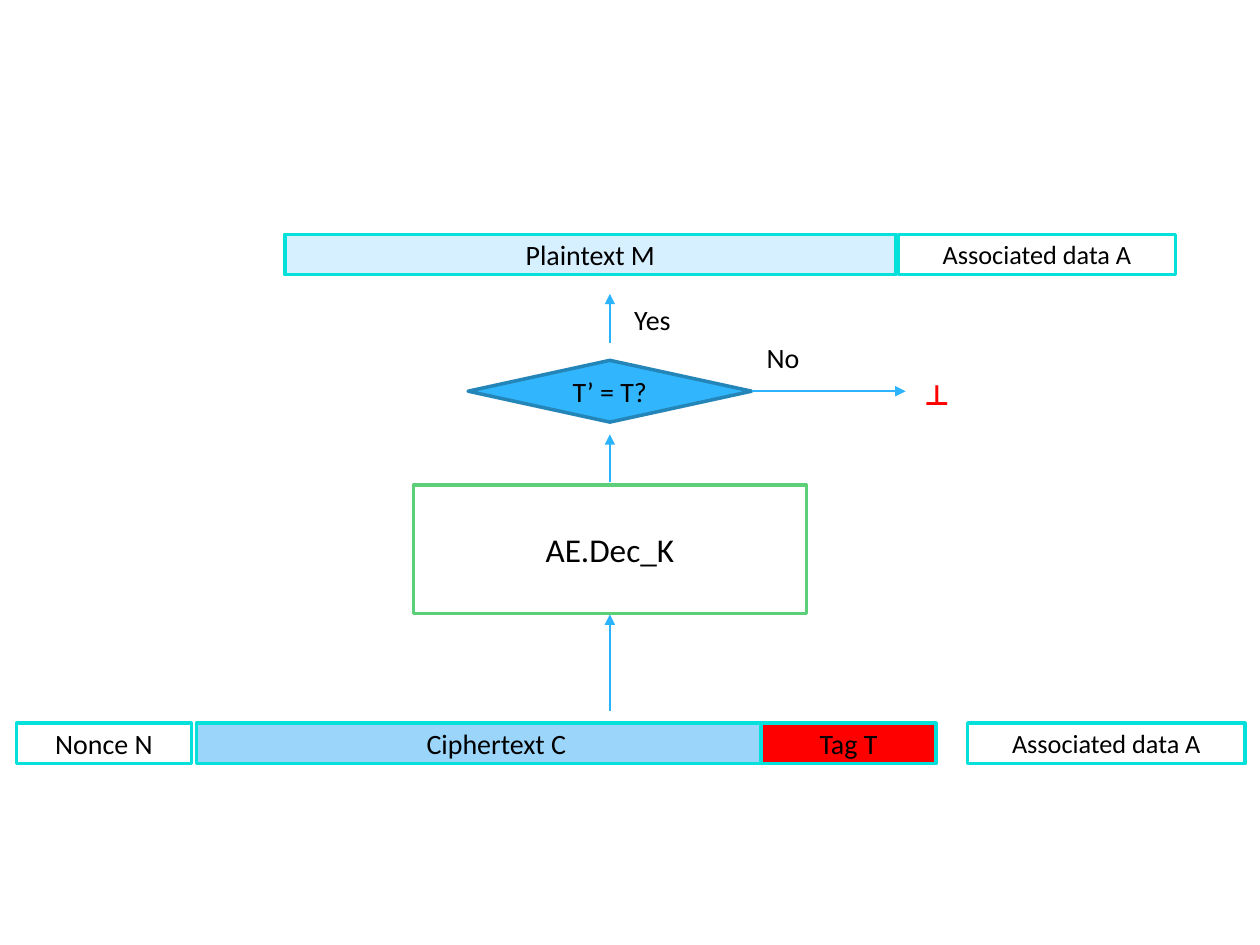
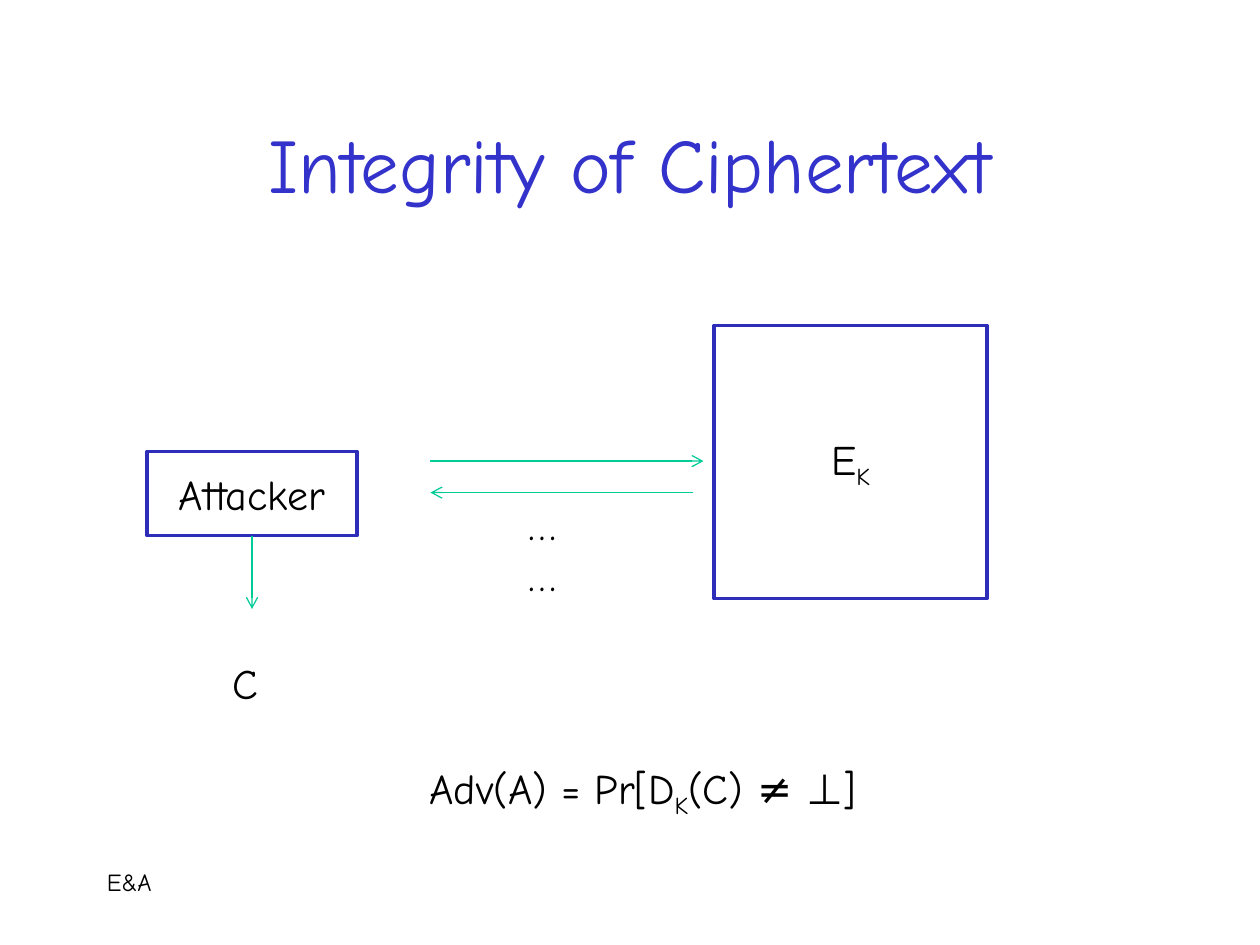
import dataclasses

import pptx
import pptx.dml.color
import pptx.enum.shapes
import pptx.enum.text
import pptx.oxml.ns
import pptx.util
from lxml import etree

Pt = pptx.util.Pt
SHAPE = pptx.enum.shapes.MSO_SHAPE
ALIGN = pptx.enum.text.PP_ALIGN
ANCHOR = pptx.enum.text.MSO_ANCHOR


@dataclasses.dataclass(frozen=True)
class Theme:
    diagram_font: str = "Calibri"
    game_font: str = "Comic Neue"
    text: str = "000000"
    white: str = "FFFFFF"
    title: str = "3333CC"
    alert: str = "FF0000"
    field_line: str = "05E0DB"
    plaintext: str = "D6F0FF"
    ciphertext: str = "9BD5FA"
    cipher_line: str = "5BD078"
    decision: str = "31B6FD"
    decision_line: str = "2485B9"
    flow: str = "2BB3FC"
    party_line: str = "2D2DB9"
    message: str = "00CC98"
    title_size: int = 44
    game_size: int = 24
    cipher_size: int = 19
    label_size: int = 16
    data_size: int = 15
    footer_size: int = 14
    outline: float = 2


T = Theme()


def rgb(value):
    return pptx.dml.color.RGBColor.from_string(value)


def write(sp, text, font, size, color=T.text, align=ALIGN.CENTER,
          anchor=ANCHOR.MIDDLE, wrap=True, bold=False, inset=(7.2, 3.6)):
    """Fill a shape with one paragraph; text is a list whose odd items are subscripts."""
    tf = sp.text_frame
    tf.word_wrap = wrap
    tf.vertical_anchor = anchor
    tf.margin_left = tf.margin_right = Pt(inset[0])
    tf.margin_top = tf.margin_bottom = Pt(inset[1])
    p = tf.paragraphs[0]
    p.alignment = align
    for i, part in enumerate(text):
        r = p.add_run()
        r.text = part
        r.font.name = font
        r.font.size = Pt(size)
        r.font.bold = bold
        r.font.color.rgb = rgb(color)
        if i % 2:
            r.font._element.set("baseline", "-25000")


def add_box(s, box, fill, line, kind=SHAPE.RECTANGLE):
    sp = s.shapes.add_shape(kind, *map(Pt, box))
    sp.shadow.inherit = False
    sp.fill.solid()
    sp.fill.fore_color.rgb = rgb(fill)
    sp.line.color.rgb = rgb(line)
    sp.line.width = Pt(T.outline)
    return sp


def add_text(s, box, text, font, size, **style):
    sp = s.shapes.add_textbox(*map(Pt, box))
    write(sp, text, font, size, **style)


def add_arrow(s, start, end, color, width, head):
    cx = s.shapes.add_connector(
        pptx.enum.shapes.MSO_CONNECTOR.STRAIGHT, *map(Pt, start + end))
    cx.line.color.rgb = rgb(color)
    cx.line.width = Pt(width)
    qn = pptx.oxml.ns.qn
    etree.SubElement(cx.line._get_or_add_ln(), qn("a:tailEnd"), type=head)
    etree.SubElement(cx._element.spPr, qn("a:effectLst"))


def flow_arrow(s, start, end):
    add_arrow(s, start, end, T.flow, 1, "triangle")


def message_arrow(s, start, end):
    add_arrow(s, start, end, T.message, 0.75, "arrow")


def field_row(s, left, top, fields):
    """Place data fields, each (offset, width, text, fill, size), along one row."""
    for offset, width, text, fill, size in fields:
        sp = add_box(s, (left + offset, top, width, 23), fill, T.field_line)
        write(sp, [text], T.diagram_font, size, inset=(3.6, 0))


def decryption(s, box):
    x, y, w, h = box
    mid = x + w / 2
    sp = add_box(s, box, T.white, T.cipher_line)
    write(sp, ["AE.Dec_K"], T.diagram_font, T.cipher_size)
    flow_arrow(s, (mid, y + h + 55.5), (mid, y + h + 0.5))
    flow_arrow(s, (mid, y - 1.5), (mid, y - 29))


def tag_check(s, box):
    x, y, w, h = box
    mid, right, axis = x + w / 2, x + w, y + h / 2
    sp = add_box(s, box, T.decision, T.decision_line, SHAPE.DIAMOND)
    write(sp, ["T’ = T?"], T.diagram_font, T.label_size, wrap=False, inset=(0, 0))
    flow_arrow(s, (mid, y - 10), (mid, y - 38))
    flow_arrow(s, (right, axis), (right + 88, axis))
    for left, top, width, text, color in (
            (mid + 8.5, y - 36.7, 31.7, "Yes", T.text),
            (right + 3.6, y - 15.1, 28.8, "No", T.text),
            (right + 94.4, y + 6.5, 23, "⊥", T.alert)):
        add_text(s, (left, top, width, 26.6), [text], T.diagram_font,
                 T.label_size, color=color, anchor=ANCHOR.TOP, wrap=False,
                 bold=color == T.alert, inset=(3.6, 3.6))


def decryption_slide(s):
    decryption(s, (236.2, 277.2, 224.6, 73.4))
    field_row(s, 162.7, 133.9, (
        (0, 349.2, "Plaintext M", T.plaintext, T.label_size),
        (350.7, 158.4, "Associated data A", T.white, T.data_size)))
    field_row(s, 9.4, 413.3, (
        (0, 100, "Nonce N", T.white, T.label_size),
        (102.9, 342.7, "Ciphertext C", T.ciphertext, T.label_size),
        (425.5, 100, "Tag T", T.alert, T.label_size),
        (543.6, 158.4, "Associated data A", T.white, T.data_size)))
    tag_check(s, (267.5, 205.9, 162, 35.3))


def heading_and_footer(s, title, footer):
    add_text(s, (54, 48, 612, 90), [title], T.game_font, T.title_size, color=T.title)
    add_text(s, (54, 492, 618, 36), [footer], T.game_font, T.footer_size,
             align=ALIGN.LEFT, anchor=ANCHOR.TOP)


def game_text(s, box, text):
    add_text(s, box, text, T.game_font, T.game_size, align=ALIGN.LEFT,
             anchor=ANCHOR.TOP, wrap=False)


def party(s, box, text):
    sp = add_box(s, box, T.white, T.party_line)
    write(sp, text, T.game_font, T.game_size)


def attacker(s, box):
    x, y, w, h = box
    mid, bottom = x + w / 2, y + h
    party(s, box, ["Attacker"])
    message_arrow(s, (mid, bottom), (mid, bottom + 42))
    game_text(s, (mid - 18, bottom + 66, 28.8, 36), ["C"])


def queries(s, box):
    x, y, w, h = box
    message_arrow(s, (x, y), (x + w, y))
    message_arrow(s, (x + w - 6, y + h), (x, y + h))
    game_text(s, (x + 49, y + h, 46, 36), ["……"])


def integrity_slide(s):
    heading_and_footer(s, "Integrity of Ciphertext", "E&A")
    party(s, (408, 186, 156, 156), ["E", "K"])
    attacker(s, (84, 258, 120, 48))
    queries(s, (246, 263.5, 156, 18))
    game_text(s, (238.3, 432, 265, 40), ["Adv(A) = Pr[D", "K", "(C) ≠ ⊥]"])


def main():
    prs = pptx.Presentation()
    prs.slide_width, prs.slide_height = Pt(720), Pt(540)
    for build in (decryption_slide, integrity_slide):
        build(prs.slides.add_slide(prs.slide_layouts[6]))
    prs.save("out.pptx")


if __name__ == "__main__":
    main()
